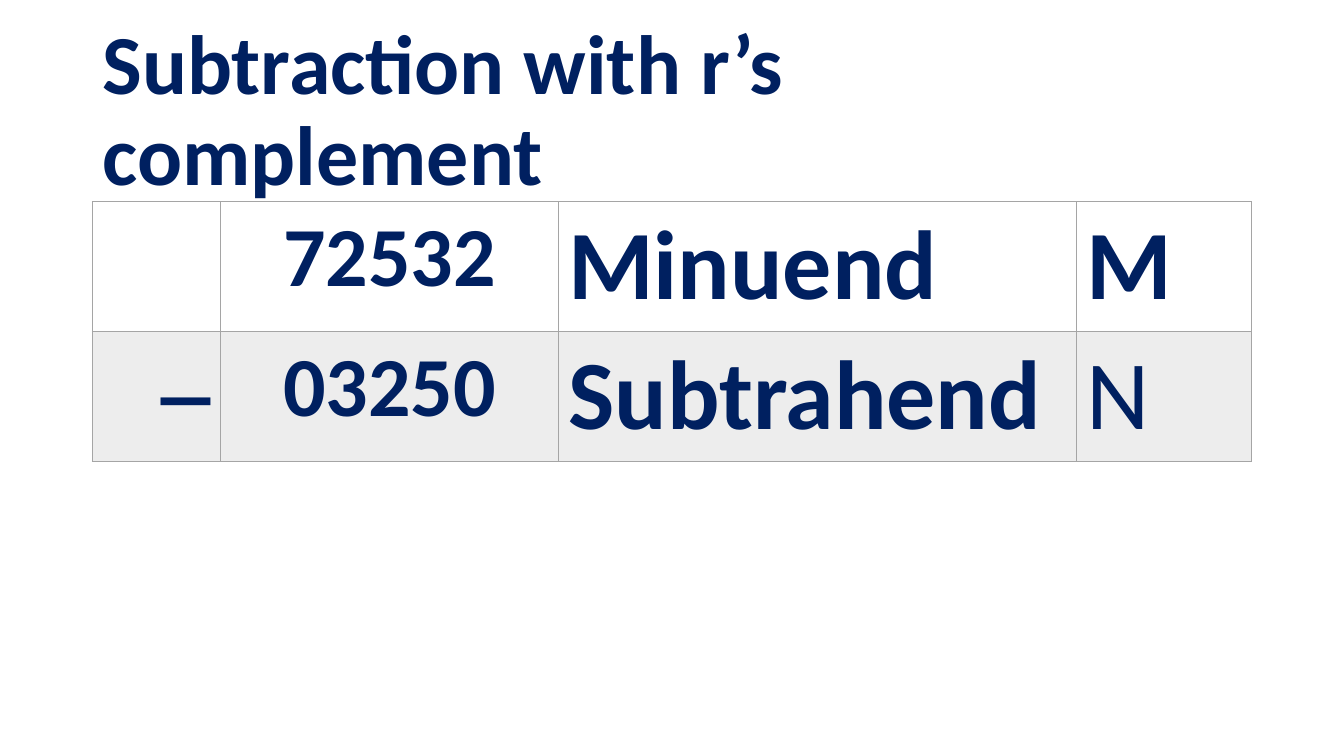
from dataclasses import dataclass

from lxml.etree import SubElement
from pptx import Presentation
from pptx.dml.color import RGBColor
from pptx.enum.text import MSO_ANCHOR as Anchor, MSO_AUTO_SIZE as AutoSize, PP_ALIGN as Align
from pptx.oxml.ns import qn
from pptx.util import Cm, Pt

TITLE = "Subtraction with r’s complement"
ROWS = [
    ("", "72532", "Minuend", "M"),
    ("─", "03250", "Subtrahend", "N"),
]
PLAIN_TEXTS = {"N"}


@dataclass(frozen=True)
class Theme:
    font: str = "Calibri"
    ink: str = "002060"
    grey: str = "A5A5A5"
    band_alpha: int = 20
    title_size: int = 60
    number_size: int = 60
    word_size: int = 70
    border: float = 1


THEME = Theme()
LEFT = 2.33
TABLE_TOP = 5.08
ROW_HEIGHT = 3.27
# width in cm, alignment, type size
COLUMNS = [
    (3.23, Align.RIGHT, THEME.word_size),
    (8.51, Align.CENTER, THEME.number_size),
    (13.06, Align.LEFT, THEME.word_size),
    (4.41, Align.LEFT, THEME.word_size),
]


def write(para, text, size, align, bold=True):
    para.alignment = align
    span = para.add_run()
    span.text = text
    font = span.font
    font.name, font.size, font.bold = THEME.font, Pt(size), bold
    font.color.rgb = RGBColor.from_string(THEME.ink)


def draw_borders(cell):
    properties = cell._tc.get_or_add_tcPr()
    for side in ("lnL", "lnR", "lnT", "lnB"):
        line = SubElement(properties, qn(f"a:{side}"), w=str(Pt(THEME.border)))
        fill = SubElement(line, qn("a:solidFill"))
        SubElement(fill, qn("a:srgbClr"), val=THEME.grey)


def fill_band(cell):
    """Give the cell the translucent grey of a banded row."""
    cell.fill.solid()
    cell.fill.fore_color.rgb = RGBColor.from_string(THEME.grey)
    color = cell._tc.tcPr.find(f"{qn('a:solidFill')}/{qn('a:srgbClr')}")
    SubElement(color, qn("a:alpha"), val=str(THEME.band_alpha * 1000))


def add_title(page):
    title = page.shapes.title
    title.left, title.top, title.width, title.height = Cm(LEFT), Cm(1.01), Cm(29.1), Cm(3.68)
    frame = title.text_frame
    frame.word_wrap = True
    frame.auto_size = AutoSize.NONE
    frame.vertical_anchor = Anchor.MIDDLE
    para = frame.paragraphs[0]
    para.line_spacing = 0.9
    write(para, TITLE, THEME.title_size, Align.LEFT)


def add_subtraction_table(page):
    total_width = sum(width for width, _, _ in COLUMNS)
    table = page.shapes.add_table(
        len(ROWS), len(COLUMNS), Cm(LEFT), Cm(TABLE_TOP),
        Cm(total_width), Cm(ROW_HEIGHT * len(ROWS)),
    ).table
    table.first_row = table.horz_banding = False
    for column, (width, _, _) in zip(table.columns, COLUMNS):
        column.width = Cm(width)
    for row_index, texts in enumerate(ROWS):
        for column_index, text in enumerate(texts):
            cell = table.cell(row_index, column_index)
            _, align, size = COLUMNS[column_index]
            draw_borders(cell)
            if row_index % 2:
                fill_band(cell)
            else:
                cell.fill.background()
            if text:
                write(cell.text_frame.paragraphs[0], text, size, align, text not in PLAIN_TEXTS)


def main():
    deck = Presentation()
    deck.slide_width, deck.slide_height = Cm(33.87), Cm(19.05)
    page = deck.slides.add_slide(deck.slide_layouts[5])
    add_title(page)
    add_subtraction_table(page)
    deck.save("out.pptx")


if __name__ == "__main__":
    main()
